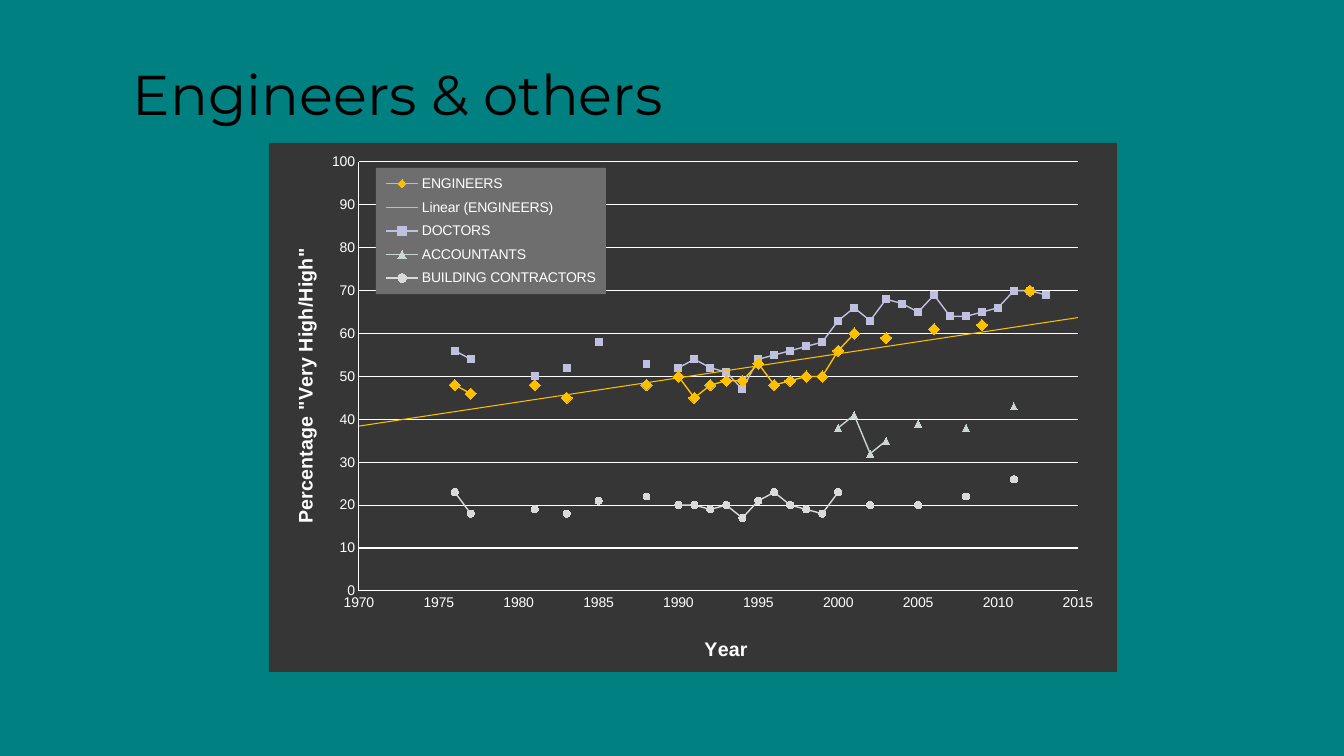
from lxml import etree
from pptx import Presentation
from pptx.chart.data import XyChartData
from pptx.dml.color import RGBColor
from pptx.enum.chart import (XL_CHART_TYPE, XL_LEGEND_POSITION, XL_MARKER_STYLE,
                             XL_TICK_MARK)
from pptx.enum.text import MSO_ANCHOR
from pptx.oxml import parse_xml
from pptx.oxml.ns import nsdecls, qn
from pptx.util import Pt

THEME = {
    "background": "008080", "title": "000000", "panel": "363636",
    "legend": "6E6E6E", "text": "FFFFFF", "engineers": "FFC000",
    "doctors": "C0C1E1", "accountants": "CCD4D4", "contractors": "DADADA",
    "heading_font": "Montserrat", "chart_font": "Arial",
    "heading_size": 40, "axis_title_size": 14, "label_size": 10,
}
PX = 914400 / 100.8
CHART_LEFT, CHART_TOP, CHART_WIDTH, CHART_HEIGHT = 269, 143, 848, 529
YEARS = range(1970, 2016)


def place(parent, left, top, width=None, height=None, inner=False):
    """Give a chart part a fixed place, in px from the chart's corner."""
    for old in parent.findall(qn("c:layout")):
        parent.remove(old)
    layout = parse_xml(f"<c:layout {nsdecls('c')}><c:manualLayout/></c:layout>")
    settings = [("layoutTarget", "inner")] if inner else []
    settings += [("xMode", "edge"), ("yMode", "edge"),
                 ("x", left / CHART_WIDTH), ("y", top / CHART_HEIGHT)]
    if width:
        settings += [("w", width / CHART_WIDTH), ("h", height / CHART_HEIGHT)]
    for tag, value in settings:
        text = value if isinstance(value, str) else f"{value:.4f}"
        etree.SubElement(layout[0], qn(f"c:{tag}")).set("val", text)
    before = [child for child in parent if child.tag in (qn("c:tx"), qn("c:legendPos"))]
    if before:
        before[-1].addnext(layout)
    else:
        parent.insert(0, layout)


def style_font(font, size, color, name, bold=False):
    values = {"size": Pt(size), "name": name, "bold": bold}
    for attribute, value in values.items():
        setattr(font, attribute, value)
    font.color.rgb = RGBColor.from_string(color)


presentation = Presentation()
presentation.slide_width = round(1344 * PX)
presentation.slide_height = round(756 * PX)
slide = presentation.slides.add_slide(presentation.slide_layouts[6])
slide.background.fill.solid()
slide.background.fill.fore_color.rgb = RGBColor.from_string(THEME["background"])

# Heading
heading = slide.shapes.add_textbox(*[round(n * PX) for n in (123, 30, 1153, 126)])
frame = heading.text_frame
frame.word_wrap = True
frame.vertical_anchor = MSO_ANCHOR.MIDDLE
run = frame.paragraphs[0].add_run()
run.text = "Engineers & others"
style_font(run.font, THEME["heading_size"], THEME["title"], THEME["heading_font"])

# Survey results by year
RATINGS = {
    "ENGINEERS": {
        1976: 48, 1977: 46, 1981: 48, 1983: 45, 1988: 48, 1990: 50, 1991: 45,
        1992: 48, 1993: 49, 1994: 49, 1995: 53, 1996: 48, 1997: 49, 1998: 50,
        1999: 50, 2000: 56, 2001: 60, 2003: 59, 2006: 61, 2009: 62, 2012: 70},
    "DOCTORS": {
        1976: 56, 1977: 54, 1981: 50, 1983: 52, 1985: 58, 1988: 53, 1990: 52,
        1991: 54, 1992: 52, 1993: 51, 1994: 47, 1995: 54, 1996: 55, 1997: 56,
        1998: 57, 1999: 58, 2000: 63, 2001: 66, 2002: 63, 2003: 68, 2004: 67,
        2005: 65, 2006: 69, 2007: 64, 2008: 64, 2009: 65, 2010: 66, 2011: 70,
        2012: 70, 2013: 69},
    "ACCOUNTANTS": {
        2000: 38, 2001: 41, 2002: 32, 2003: 35, 2005: 39, 2008: 38, 2011: 43},
    "BUILDING CONTRACTORS": {
        1976: 23, 1977: 18, 1981: 19, 1983: 18, 1985: 21, 1988: 22, 1990: 20,
        1991: 20, 1992: 19, 1993: 20, 1994: 17, 1995: 21, 1996: 23, 1997: 20,
        1998: 19, 1999: 18, 2000: 23, 2002: 20, 2005: 20, 2008: 22, 2011: 26},
}
chart_data = XyChartData()
for name, ratings in RATINGS.items():
    series_data = chart_data.add_series(name)
    for year in YEARS:
        series_data.add_data_point(year, ratings.get(year))

# Chart
chart_box = [round(n * PX) for n in (CHART_LEFT, CHART_TOP, CHART_WIDTH, CHART_HEIGHT)]
chart = slide.shapes.add_chart(XL_CHART_TYPE.XY_SCATTER_LINES, *chart_box, chart_data).chart
chart.has_title = False
style_font(chart.font, THEME["label_size"], THEME["text"], THEME["chart_font"])
chart_space = chart.font._element.getroottree().getroot()
plot_area = chart_space.find(".//" + qn("c:plotArea"))
place(plot_area, 90, 19, 719, 429, inner=True)

# Years without a survey stay as gaps
for value in list(plot_area.iter(qn("c:v"))):
    if value.text == "None":
        point = value.getparent()
        point.getparent().remove(point)

# Series lines and markers
STYLES = [
    ("engineers", XL_MARKER_STYLE.DIAMOND, 8),
    ("doctors", XL_MARKER_STYLE.SQUARE, 5),
    ("accountants", XL_MARKER_STYLE.TRIANGLE, 5),
    ("contractors", XL_MARKER_STYLE.CIRCLE, 5),
]
for series, (key, marker_style, marker_size) in zip(chart.plots[0].series, STYLES):
    color = RGBColor.from_string(THEME[key])
    series.format.line.color.rgb = color
    series.format.line.width = Pt(1)
    series.marker.style = marker_style
    series.marker.size = marker_size
    series.marker.format.fill.solid()
    series.marker.format.fill.fore_color.rgb = color
    series.marker.format.line.color.rgb = color

# Linear trend of the engineers
engineers = chart.plots[0].series[0]._element
engineers.find(qn("c:xVal")).addprevious(parse_xml(
    f"<c:trendline {nsdecls('c', 'a')}><c:spPr><a:ln w='9525'><a:solidFill>"
    f"<a:srgbClr val='{THEME['engineers']}'/></a:solidFill></a:ln></c:spPr>"
    "<c:trendlineType val='linear'/><c:dispRSqr val='0'/><c:dispEq val='0'/>"
    "</c:trendline>"))

# Axes
white = RGBColor.from_string(THEME["text"])
AXES = [
    (chart.category_axis, "Year", 1970, 2015, 5, False, 0, (432, 490)),
    (chart.value_axis, 'Percentage "Very High/High"', 0, 100, 10, True, -5400000, (20, 102)),
]
for axis, title, low, high, step, gridlines, rotation, corner in AXES:
    values = {"minimum_scale": low, "maximum_scale": high, "major_unit": step,
              "has_major_gridlines": gridlines, "has_minor_gridlines": False,
              "major_tick_mark": XL_TICK_MARK.NONE, "minor_tick_mark": XL_TICK_MARK.NONE}
    for attribute, value in values.items():
        setattr(axis, attribute, value)
    lines = [axis.format.line] + ([axis.major_gridlines.format.line] if gridlines else [])
    for line in lines:
        line.color.rgb = white
        line.width = Pt(0.75)
    style_font(axis.tick_labels.font, THEME["label_size"], THEME["text"], THEME["chart_font"])
    run = axis.axis_title.text_frame.paragraphs[0].add_run()
    run.text = title
    style_font(run.font, THEME["axis_title_size"], THEME["text"], THEME["chart_font"], bold=True)
    title_element = axis.axis_title._element
    title_element.find(".//" + qn("a:bodyPr")).set("rot", str(rotation))
    place(title_element, *corner)

# Legend
chart.has_legend = True
legend = chart.legend
legend.position = XL_LEGEND_POSITION.RIGHT
legend.include_in_layout = False
style_font(legend.font, THEME["label_size"], THEME["text"], THEME["chart_font"])
place(legend._element, 107, 25, 230, 126)

# Panel and legend fills
for parent, key in [(chart_space, "panel"), (legend._element, "legend")]:
    parent.find(qn("c:txPr")).addprevious(parse_xml(
        f"<c:spPr {nsdecls('c', 'a')}><a:solidFill><a:srgbClr val='{THEME[key]}'/>"
        "</a:solidFill><a:ln><a:noFill/></a:ln></c:spPr>"))

presentation.save("out.pptx")
